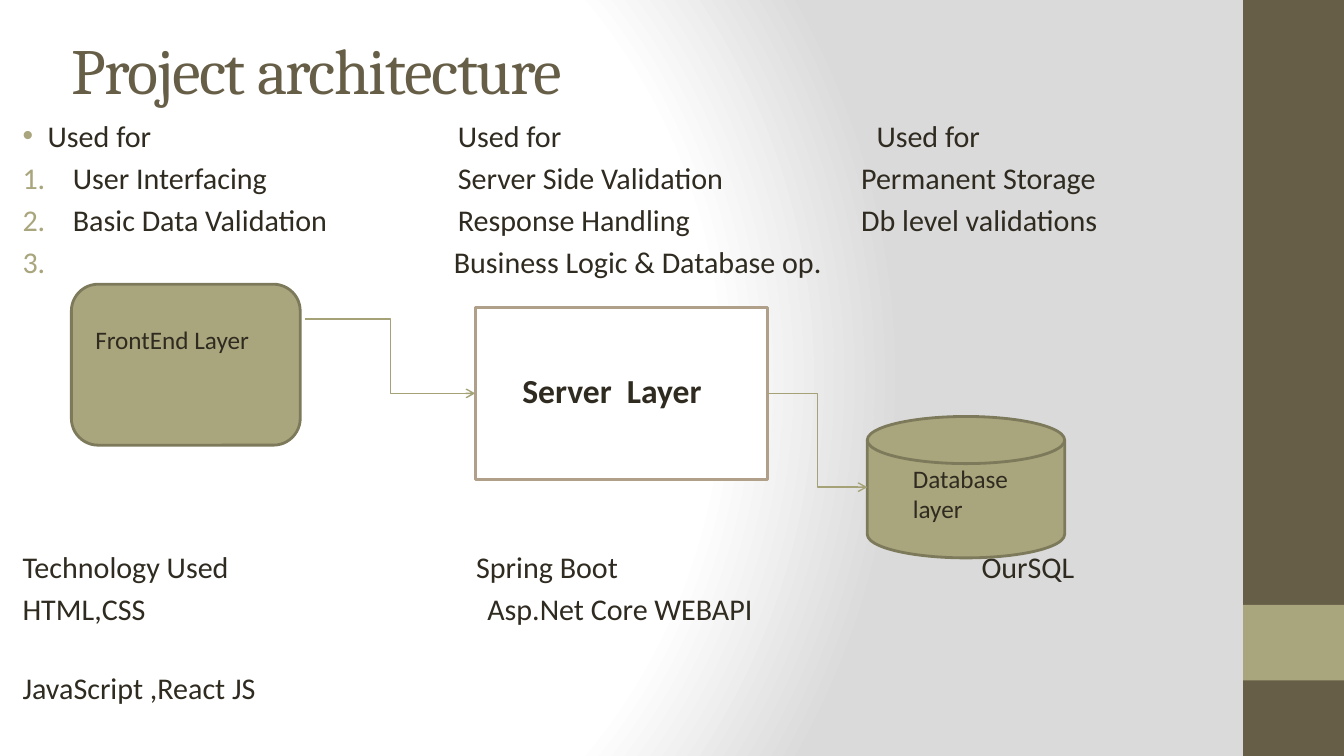
from dataclasses import dataclass

from lxml.etree import SubElement
from pptx import Presentation
from pptx.dml.color import RGBColor
from pptx.enum.shapes import MSO_CONNECTOR, MSO_SHAPE
from pptx.enum.text import MSO_ANCHOR
from pptx.oxml.ns import qn
from pptx.util import Pt


@dataclass(frozen=True)
class Theme:
    """Colours, fonts and type sizes of the deck."""
    brown: str = "675E47"
    olive: str = "A9A57C"
    olive_edge: str = "7D7A5C"
    arrow: str = "A6A278"
    tan: str = "B1A089"
    ink: str = "2F2B20"
    white: str = "FFFFFF"
    grey: str = "DADADA"
    heading_font: str = "Cambria"
    body_font: str = "Calibri"
    title_size: float = 46
    body_size: float = 21.5
    label_size: float = 18
    server_size: float = 24
    row_gap: float = 4.3


THEME = Theme()


def add_node(parent, tag, **values):
    """Append a drawing element with its attributes."""
    return SubElement(parent, qn(tag), {key: str(value) for key, value in values.items()})


def apply_format(target, values):
    """Set each named format value on the target."""
    for name, value in values.items():
        setattr(target, name, value)


def paint_background(page):
    """Fill the page with a circular gradient from white to grey."""
    fill = page.background.fill
    fill.gradient()
    gradient = page.background._cSld.find(".//" + qn("a:gradFill"))
    for child in list(gradient):
        gradient.remove(child)
    stops = add_node(gradient, "a:gsLst")
    for percent, color in ((0, THEME.white), (75, THEME.white), (100, THEME.grey)):
        stop = add_node(stops, "a:gs", pos=percent * 1000)
        add_node(stop, "a:srgbClr", val=color)
    circle = add_node(gradient, "a:path", path="circle")
    add_node(circle, "a:fillToRect", l=20000, t=50000, r=100000, b=50000)


def add_block(page, box, kind, fill, edge=None):
    """Draw a filled shape, outlined when an edge colour is given."""
    shape = page.shapes.add_shape(kind, *map(Pt, box))
    shape.shadow.inherit = False
    shape.fill.solid()
    shape.fill.fore_color.rgb = RGBColor.from_string(fill)
    if edge:
        shape.line.color.rgb = RGBColor.from_string(edge)
        shape.line.width = Pt(2)
    else:
        shape.line.fill.background()
    return shape


def add_text(page, box, lines, size, font=THEME.body_font, color=THEME.ink, bold=False, anchor=MSO_ANCHOR.TOP):
    """Place a text box with one paragraph per line and return its frame."""
    frame = page.shapes.add_textbox(*map(Pt, box)).text_frame
    apply_format(frame, {"word_wrap": True, "vertical_anchor": anchor})
    for index, line in enumerate(lines):
        para = frame.paragraphs[0] if index == 0 else frame.add_paragraph()
        span = para.add_run()
        span.text = line
        apply_format(span.font, {"name": font, "size": Pt(size), "bold": bold})
        span.font.color.rgb = RGBColor.from_string(color)
    return frame


def set_marker(para, marker, hanging):
    """Give a paragraph a coloured bullet or number with a hanging indent."""
    properties = para._p.get_or_add_pPr()
    properties.set("indent", str(-Pt(hanging)))
    add_node(add_node(properties, "a:buClr"), "a:srgbClr", val=THEME.olive)
    if marker == "bullet":
        add_node(properties, "a:buFont", typeface="Arial")
        add_node(properties, "a:buChar", char="•")
    else:
        add_node(properties, "a:buFont", typeface="+mj-lt")
        add_node(properties, "a:buAutoNum", type="arabicPeriod")


def add_columns(page, box, columns):
    """Set three text columns, each line with its own indent and gap above."""
    left, top, width, height = box
    for (offset, share), rows in zip(((0, 310), (315, 300), (600, 259)), columns):
        frame = add_text(page, (left + offset, top, min(share, width), height),
                         [row[0] for row in rows], THEME.body_size)
        for index, (para, row) in enumerate(zip(frame.paragraphs, rows)):
            gap = row[2] if len(row) > 2 else THEME.row_gap
            para.space_before = Pt(gap if index else 0)
            para._p.get_or_add_pPr().set("marL", str(Pt(row[1])))
        yield frame


def add_uses(page, box):
    """List what each layer is used for."""
    columns = (
        (("Used for", 27), ("User Interfacing", 45), ("Basic Data Validation", 45), (" ", 45)),
        (("Used for", 5), ("Server Side Validation", 5), ("Response Handling", 5),
         ("Business Logic & Database op.", 2)),
        (("Used for", 19), ("Permanent Storage", 8), ("Db level validations", 8)),
    )
    front, *_ = add_columns(page, box, columns)
    for index, para in enumerate(front.paragraphs):
        set_marker(para, "number" if index else "bullet", 36 if index else 18)


def add_technologies(page, box):
    """List the technologies behind each layer."""
    columns = (
        (("Technology Used", 9), ("HTML,CSS", 9), ("JavaScript ,React JS", 9, 30.8)),
        (("Spring Boot", 18), ("Asp.Net Core WEBAPI", 26)),
        (("OurSQL", 94),),
    )
    list(add_columns(page, box, columns))


def add_arrow(page, start, end):
    """Draw an elbow arrow between two points."""
    arrow = page.shapes.add_connector(MSO_CONNECTOR.ELBOW, *map(Pt, start + end))
    arrow.line.color.rgb = RGBColor.from_string(THEME.arrow)
    arrow.line.width = Pt(1)
    add_node(arrow.line._get_or_add_ln(), "a:tailEnd", type="arrow")
    add_node(arrow._element.spPr, "a:effectLst")


def add_layers(page, box):
    """Draw the three layers, their labels and the arrows between them."""
    left, top, _, _ = box
    layers = (
        ((0, 0, 163.5, 115), MSO_SHAPE.ROUNDED_RECTANGLE, THEME.olive, THEME.olive_edge,
         "FrontEnd Layer", (10, 25, 144, 29), THEME.label_size, False),
        ((568.5, 94.5, 141, 101), MSO_SHAPE.FLOWCHART_MAGNETIC_DISK, THEME.olive, THEME.olive_edge,
         "Database layer", (25.5, 30, 97, 51), THEME.label_size, False),
        ((288.5, 16.5, 209, 123), MSO_SHAPE.FLOWCHART_PROCESS, THEME.white, THEME.tan,
         "Server  Layer", (26.5, 41, 162, 65), THEME.server_size, True),
    )
    for (x, y, width, height), kind, fill, edge, label, (dx, dy, *extent), size, bold in layers:
        add_block(page, (left + x, top + y, width, height), kind, fill, edge)
        add_text(page, (left + x + dx, top + y + dy, *extent), [label], size, bold=bold)
    for (x1, y1), (x2, y2) in (((497.5, 78), (568.5 + 73 - 73, 145)), ((167, 25), (288.5, 78))):
        add_arrow(page, (left + x1, top + y1), (left + x2, top + y2))


def add_sidebar(page, box):
    """Draw the brown side band with its olive block."""
    left, top, width, height = box
    add_block(page, box, MSO_SHAPE.RECTANGLE, THEME.brown)
    add_block(page, (left, top + 0.8 * height, width, 0.1 * height), MSO_SHAPE.RECTANGLE, THEME.olive)


def add_title(page, box):
    """Write the slide title."""
    frame = add_text(page, box, ["Project architecture"], THEME.title_size,
                     THEME.heading_font, THEME.brown, anchor=MSO_ANCHOR.MIDDLE)
    frame.paragraphs[0].runs[0].font._element.set("spc", "-100")


def build_architecture(deck):
    """Build the architecture slide."""
    page = deck.slides.add_slide(deck.slide_layouts[6])
    paint_background(page)
    add_sidebar(page, (888, 0, 72, 540))
    add_title(page, (44, 21.5, 804, 55))
    add_uses(page, (0, 80, 859, 126))
    add_technologies(page, (0, 388, 859, 125))
    add_layers(page, (51, 203, 710, 196))


def main():
    """Create and save the deck."""
    deck = Presentation()
    apply_format(deck, {"slide_width": Pt(960), "slide_height": Pt(540)})
    build_architecture(deck)
    deck.save("out.pptx")


if __name__ == "__main__":
    main()
